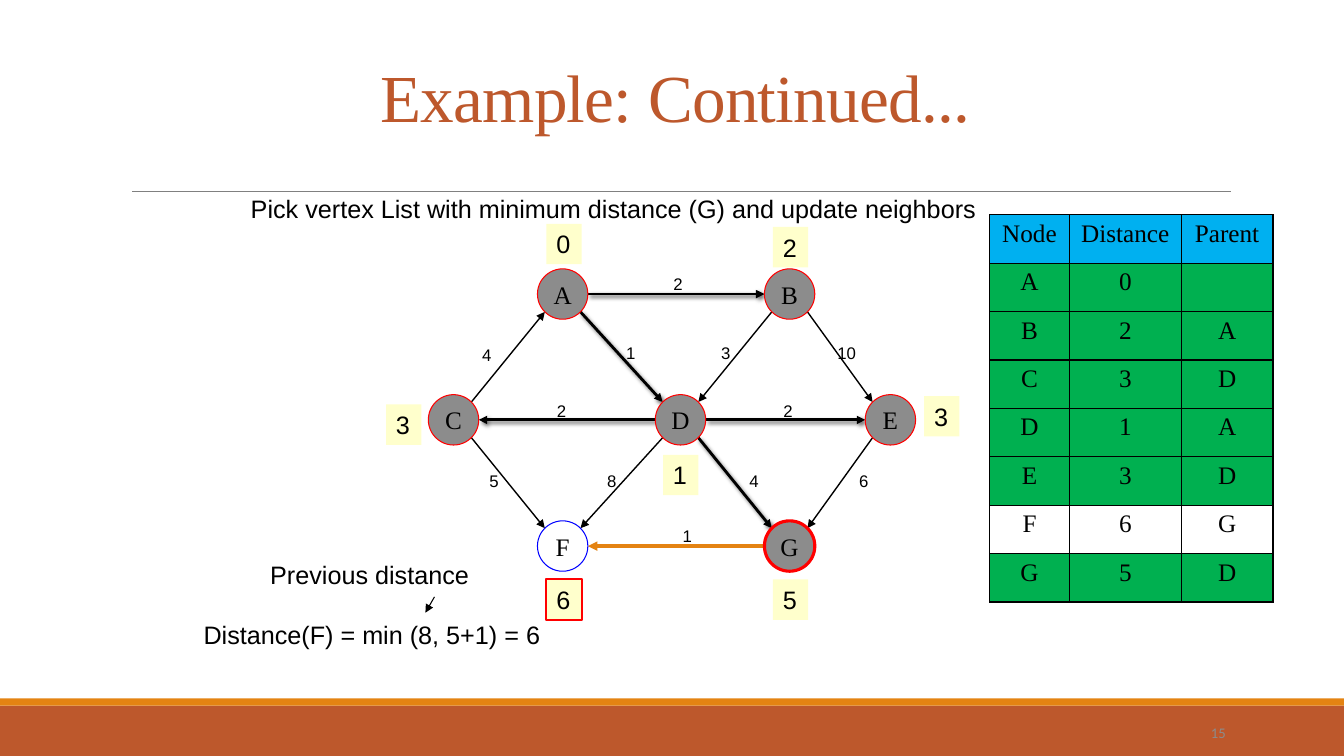
from math import copysign, sqrt

from lxml.etree import SubElement
from pptx import Presentation
from pptx.dml.color import RGBColor
from pptx.enum.shapes import MSO_CONNECTOR, MSO_SHAPE
from pptx.enum.text import MSO_ANCHOR, MSO_AUTO_SIZE, PP_ALIGN
from pptx.oxml.ns import qn
from pptx.util import Cm, Pt

# Content
TITLE = "Example: Continued..."
HEADERS = ("Node", "Distance", "Parent")
ROWS = [
    ("A", "0", ""),
    ("B", "2", "A"),
    ("C", "3", "D"),
    ("D", "1", "A"),
    ("E", "3", "D"),
    ("F", "6", "G"),
    ("G", "5", "D"),
]
UNVISITED, PICKED = "F", "G"
# Node: centre, then top left corner of its distance tag
NODES = {
    "A": ((14.18, 7.41), (13.77, 5.64)),
    "B": ((19.9, 7.41), (19.48, 5.72)),
    "C": ((11.43, 10.58), (9.73, 10.19)),
    "D": ((17.15, 10.58), (16.71, 11.46)),
    "E": ((22.44, 10.58), (23.29, 9.98)),
    "F": ((14.18, 13.76), (13.77, 14.6)),
    "G": ((19.9, 13.76), (19.48, 14.6)),
}
# Edge: start and end node, weight, centre of the weight label
EDGES = [
    ("AB", "2", (17.09, 7.16)),
    ("AD", "1", (15.9, 8.89)),
    ("CA", "4", (12.27, 8.94)),
    ("BD", "3", (18.29, 8.89)),
    ("BE", "10", (21.34, 8.89)),
    ("DC", "2", (14.15, 10.34)),
    ("DE", "2", (19.86, 10.34)),
    ("DF", "8", (15.42, 12.12)),
    ("DG", "4", (19, 12.12)),
    ("CF", "5", (12.45, 12.12)),
    ("EG", "6", (21.77, 12.12)),
    ("GF", "1", (17.32, 13.51)),
]
UPDATED_EDGE = "GF"
# Text, left, top, width
NOTES = [
    ("Distance(F) = min (8, 5+1) = 6", 4.88, 15.49, 9.96),
    ("Previous distance", 6.56, 13.97, 5.72),
    ("Pick vertex List with minimum distance (G) and update neighbors", 6.07, 4.75, 18.9),
]

COLORS = {
    "rust": "BD582C", "orange": "E48312", "rule": "808080", "gray": "8C8C8C",
    "red": "FF0000", "blue": "0000FF", "tag": "FFFFCC", "header": "00B0F0",
    "visited": "00B050", "white": "FFFFFF", "black": "000000",
}
SERIF, SANS = "Times New Roman", "Arial"
RADIUS = 0.635
COLUMN_WIDTHS = (2.01, 2.82, 2.31)
ROW_HEIGHT = 1.22


def color(name):
    return RGBColor.from_string(COLORS[name])


def write_text(target, text, *, size=18, font=SANS, ink="black", align=PP_ALIGN.LEFT):
    paragraph = target.text_frame.paragraphs[0]
    paragraph.alignment = align
    paragraph.space_before = Pt(0)
    run = paragraph.add_run()
    run.text = text
    run.font.size = Pt(size)
    run.font.name = font
    run.font.color.rgb = color(ink)
    return run


def add_block(slide, kind, left, top, width, height, fill=None, line=None, weight=0.75):
    shape = slide.shapes.add_shape(kind, Cm(left), Cm(top), Cm(width), Cm(height))
    shape.shadow.inherit = False
    if fill:
        shape.fill.solid()
        shape.fill.fore_color.rgb = color(fill)
    else:
        shape.fill.background()
    if line:
        shape.line.color.rgb = color(line)
        shape.line.width = Pt(weight)
    else:
        shape.line.fill.background()
    shape.text_frame.word_wrap = False
    return shape


def add_box(slide, left, top, width, height, anchor=MSO_ANCHOR.TOP):
    box = slide.shapes.add_textbox(Cm(left), Cm(top), Cm(width), Cm(height))
    box.text_frame.word_wrap = True
    box.text_frame.vertical_anchor = anchor
    return box


def add_line(slide, start, end, ink="black", weight=1.0, arrow=True, shadow=False):
    points = [Cm(value) for value in (*start, *end)]
    connector = slide.shapes.add_connector(MSO_CONNECTOR.STRAIGHT, *points)
    connector.line.color.rgb = color(ink)
    connector.line.width = Pt(weight)
    if arrow:
        SubElement(connector.line._get_or_add_ln(), qn("a:tailEnd"), type="triangle")
    effects = SubElement(connector._element.spPr, qn("a:effectLst"))
    if shadow:
        outer = SubElement(effects, qn("a:outerShdw"), blurRad=str(Pt(3)),
                           dist=str(Pt(2)), dir="2700000", rotWithShape="0")
        tint = SubElement(outer, qn("a:srgbClr"), val=COLORS["black"])
        SubElement(tint, qn("a:alpha"), val="60000")


def rim_point(node, other):
    """Point of the node's circle, at its side or its 45 degree corner, facing the other."""
    (x, y), (other_x, other_y) = NODES[node][0], NODES[other][0]
    if y == other_y:
        return x + copysign(RADIUS, other_x - x), y
    reach = RADIUS / sqrt(2)
    return x + copysign(reach, other_x - x), y + copysign(reach, other_y - y)


def add_graph(slide):
    # Edges and weights
    for edge, weight, (x, y) in EDGES:
        start, end = edge
        # A shortest-path edge leads from a node's parent to that node
        on_tree = (end, start) in [(node, parent) for node, _, parent in ROWS]
        updated = edge == UPDATED_EDGE
        add_line(slide, rim_point(start, end), rim_point(end, start),
                 ink="orange" if updated else "black",
                 weight=2.25 if updated else 2 if on_tree else 1,
                 shadow=on_tree and not updated)
        label = add_box(slide, x - 0.5, y - 0.38, 1, 0.76, MSO_ANCHOR.MIDDLE)
        label.text_frame.word_wrap = False
        write_text(label, weight, size=12, align=PP_ALIGN.CENTER)

    # Nodes and distance tags
    for node, distance, _ in ROWS:
        (x, y), (left, top) = NODES[node]
        unvisited = node == UNVISITED
        circle = add_block(slide, MSO_SHAPE.OVAL, x - RADIUS, y - RADIUS, 2 * RADIUS, 2 * RADIUS,
                           fill=None if unvisited else "gray",
                           line="blue" if unvisited else "red",
                           weight=2.25 if node == PICKED else 0.75)
        circle.text_frame.vertical_anchor = MSO_ANCHOR.MIDDLE
        write_text(circle, node, font=SERIF, align=PP_ALIGN.CENTER)
        tag = add_block(slide, MSO_SHAPE.RECTANGLE, left, top, 0.89, 1.02, fill="tag",
                        line="red" if unvisited else None, weight=1.25)
        tag.text_frame.vertical_anchor = MSO_ANCHOR.TOP
        write_text(tag, distance)


def add_distance_table(slide):
    rows = [HEADERS, *ROWS]
    table = slide.shapes.add_table(len(rows), len(HEADERS), Cm(24.94), Cm(5.41),
                                   Cm(sum(COLUMN_WIDTHS)), Cm(ROW_HEIGHT * len(rows))).table
    table.first_row = table.horz_banding = False
    for column, width in zip(table.columns, COLUMN_WIDTHS):
        column.width = Cm(width)
    for row_index, values in enumerate(rows):
        table.rows[row_index].height = Cm(ROW_HEIGHT)
        fill = {HEADERS[0]: "header", UNVISITED: "white"}.get(values[0], "visited")
        for column_index, value in enumerate(values):
            cell = table.cell(row_index, column_index)
            properties = cell._tc.get_or_add_tcPr()
            for side in ("a:lnL", "a:lnR", "a:lnT", "a:lnB"):
                border = SubElement(properties, qn(side), w=str(Pt(1)))
                solid = SubElement(border, qn("a:solidFill"))
                SubElement(solid, qn("a:srgbClr"), val=COLORS["black"])
            cell.fill.solid()
            cell.fill.fore_color.rgb = color(fill)
            if value:
                write_text(cell, value, font=SERIF, align=PP_ALIGN.CENTER)


def main():
    presentation = Presentation()
    presentation.slide_width, presentation.slide_height = Cm(33.87), Cm(19.05)
    slide = presentation.slides.add_slide(presentation.slide_layouts[5])

    # Footer bars, rule and page number
    add_block(slide, MSO_SHAPE.RECTANGLE, 0, 17.78, 33.87, 1.27, fill="rust")
    add_block(slide, MSO_SHAPE.RECTANGLE, 0, 17.6, 33.87, 0.18, fill="orange")
    add_line(slide, (3.33, 4.83), (31.01, 4.83), ink="rule", weight=0.5, arrow=False)
    number = add_box(slide, 28.6, 17.97, 2.54, 1, MSO_ANCHOR.MIDDLE)
    write_text(number, "15", size=10.5, font=None, ink="gray", align=PP_ALIGN.RIGHT)

    # Title
    title = slide.shapes.title
    title.left, title.top, title.width, title.height = Cm(3.05), Cm(1.27), Cm(27.94), Cm(2.29)
    title.text_frame.auto_size = MSO_AUTO_SIZE.NONE
    title.text_frame.vertical_anchor = MSO_ANCHOR.BOTTOM
    run = write_text(title, TITLE, size=48, font=SERIF, ink="rust", align=PP_ALIGN.CENTER)
    run.font._element.set("spc", "-50")
    title.text_frame.paragraphs[0].line_spacing = 0.85

    add_graph(slide)

    # Notes and the pointer between them
    for text, left, top, width in NOTES:
        write_text(add_box(slide, left, top, width, 1.02), text)
    add_line(slide, (10.95, 15.04), (10.72, 15.44), weight=0.75)

    add_distance_table(slide)
    presentation.save("out.pptx")


if __name__ == "__main__":
    main()
